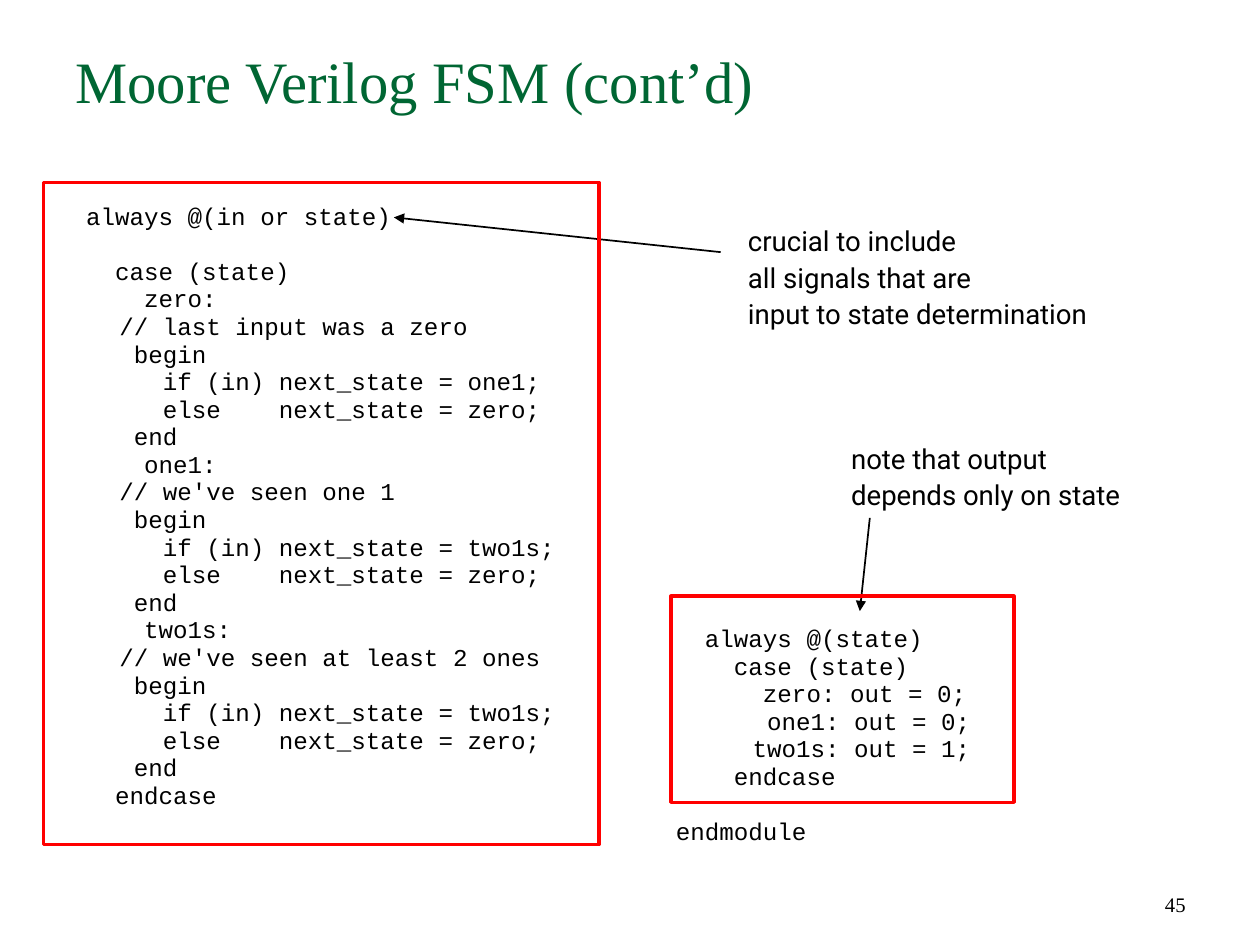
from dataclasses import dataclass

import pptx
import pptx.dml.color
import pptx.enum.shapes
import pptx.enum.text
import pptx.oxml
import pptx.oxml.ns
import pptx.util
from pptx.util import Inches

COLORS = {"text": "000000", "title": "006633", "frame": "FF0000"}
TAB_STOPS = (0.5, 1, 1.5)

NEXT_STATE_CODE = """\
  always @(in or state)

    case (state)
      zero:
\t// last input was a zero
\t begin
\t   if (in) next_state = one1;
\t   else    next_state = zero;
\t end
      one1:
\t// we've seen one 1
\t begin
\t   if (in) next_state = two1s;
\t   else    next_state = zero;
\t end
      two1s:
\t// we've seen at least 2 ones
\t begin
\t   if (in) next_state = two1s;
\t   else    next_state = zero;
\t end
    endcase"""

OUTPUT_CODE = """\
  always @(state)
    case (state)
      zero: out = 0;
\t  one1: out = 0;
\t two1s: out = 1;
    endcase

endmodule"""


@dataclass
class Style:
    font: str
    size: int
    color: str = "text"
    line_pt: int = 0
    inset: tuple[float, float] = (0.1, 0.05)
    align: pptx.enum.text.PP_ALIGN = pptx.enum.text.PP_ALIGN.LEFT
    anchor: pptx.enum.text.MSO_ANCHOR = pptx.enum.text.MSO_ANCHOR.TOP


@dataclass
class TextBlock:
    box: tuple[float, float, float, float]
    text: str
    style: Style


@dataclass
class Arrow:
    start: tuple[float, float]
    end: tuple[float, float]


TITLE = Style("Times New Roman", 34, "title")
CODE = Style("Courier New", 14, line_pt=16, inset=(0.02, 0.03))
NOTE = Style("Roboto", 16, line_pt=21, inset=(0.02, 0.03))
PAGE_NUMBER = Style("Times New Roman", 12,
                    align=pptx.enum.text.PP_ALIGN.RIGHT,
                    anchor=pptx.enum.text.MSO_ANCHOR.BOTTOM)

TEXT_BLOCKS = [
    TextBlock((0.51, 0.31, 9.12, 1.26), "Moore Verilog FSM (cont’d)", TITLE),
    TextBlock((0.44, 1.6, 9.27, 5.92), NEXT_STATE_CODE, CODE),
    TextBlock((6, 1.75, 3.03, 1.31),
              "crucial to include\nall signals that are\n"
              "input to state determination", NOTE),
    TextBlock((6.83, 3.5, 3.03, 1.31),
              "note that output\ndepends only on state", NOTE),
    TextBlock((5.42, 5, 4.33, 2), OUTPUT_CODE, CODE),
    TextBlock((7.27, 6.92, 2.37, 0.51), "45", PAGE_NUMBER),
]
ARROWS = [Arrow((5.8, 2.03), (3.17, 1.75)), Arrow((7, 4.17), (6.92, 4.92))]
CODE_FRAMES = [(0.35, 1.47, 4.47, 5.33), (5.4, 4.8, 2.76, 1.66)]


def rgb(name: str) -> pptx.dml.color.RGBColor:
    return pptx.dml.color.RGBColor.from_string(COLORS[name])


def add_tab_stops(paragraph) -> None:
    tab_list = pptx.oxml.parse_xml(
        f"<a:tabLst {pptx.oxml.ns.nsdecls('a')}>"
        + "".join(f'<a:tab pos="{Inches(stop)}" algn="l"/>'
                  for stop in TAB_STOPS)
        + "</a:tabLst>")
    paragraph._p.get_or_add_pPr().append(tab_list)


def draw_text(slide, block: TextBlock) -> None:
    style = block.style
    frame = slide.shapes.add_textbox(*map(Inches, block.box)).text_frame
    frame.word_wrap = True
    frame.vertical_anchor = style.anchor
    frame.margin_left = frame.margin_right = Inches(style.inset[0])
    frame.margin_top = frame.margin_bottom = Inches(style.inset[1])
    paragraph = None
    gap = 0
    for line in block.text.split("\n"):
        if not line:  # an empty code line becomes space before the next one
            gap += style.line_pt
            continue
        paragraph = frame.add_paragraph() if paragraph else frame.paragraphs[0]
        if "\t" in line:
            add_tab_stops(paragraph)
        paragraph.alignment = style.align
        if style.line_pt:
            paragraph.line_spacing = pptx.util.Pt(style.line_pt)
        if gap:
            paragraph.space_before = pptx.util.Pt(gap)
            gap = 0
        run = paragraph.add_run()
        run.text = line
        run.font.name = style.font
        run.font.size = pptx.util.Pt(style.size)
        run.font.color.rgb = rgb(style.color)


def draw_arrow(slide, arrow: Arrow) -> None:
    connector = slide.shapes.add_connector(
        pptx.enum.shapes.MSO_CONNECTOR.STRAIGHT,
        *map(Inches, arrow.start + arrow.end))
    connector.line.color.rgb = rgb("text")
    connector.line.width = pptx.util.Pt(1)
    namespace = pptx.oxml.ns.nsdecls("a")
    connector.line._get_or_add_ln().append(
        pptx.oxml.parse_xml(f'<a:tailEnd {namespace} type="triangle"/>'))
    connector._element.spPr.append(
        pptx.oxml.parse_xml(f"<a:effectLst {namespace}/>"))


def draw_frame(slide, box: tuple[float, float, float, float]) -> None:
    frame = slide.shapes.add_shape(
        pptx.enum.shapes.MSO_SHAPE.RECTANGLE, *map(Inches, box))
    frame.shadow.inherit = False
    frame.fill.background()
    frame.line.color.rgb = rgb("frame")
    frame.line.width = pptx.util.Pt(2)


def main() -> None:
    deck = pptx.Presentation()
    deck.slide_width, deck.slide_height = Inches(10.14), Inches(7.6)
    slide = deck.slides.add_slide(deck.slide_layouts[6])

    # Title, code, notes and page number
    for block in TEXT_BLOCKS:
        draw_text(slide, block)

    # Arrows from the notes to the code
    for arrow in ARROWS:
        draw_arrow(slide, arrow)

    # Red frames around the code
    for box in CODE_FRAMES:
        draw_frame(slide, box)

    deck.save("out.pptx")


if __name__ == "__main__":
    main()
